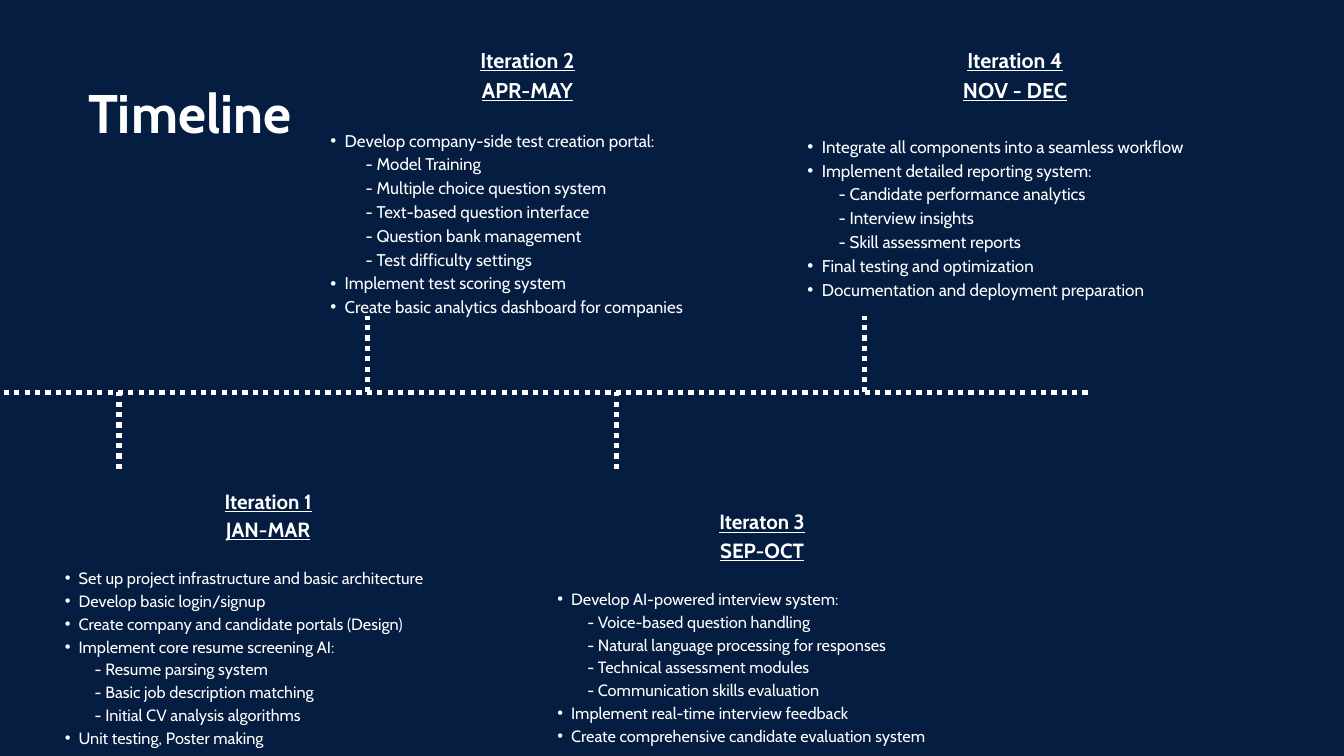
from lxml import etree
from pptx import Presentation
from pptx.dml.color import RGBColor
from pptx.enum.dml import MSO_LINE
from pptx.enum.shapes import MSO_CONNECTOR
from pptx.enum.text import MSO_AUTO_SIZE, PP_ALIGN
from pptx.oxml.ns import qn
from pptx.util import Inches, Pt

STRAIGHT = MSO_CONNECTOR.STRAIGHT
DOTTED = MSO_LINE.ROUND_DOT
GROW = MSO_AUTO_SIZE.SHAPE_TO_FIT_TEXT
CENTER, JUSTIFY = PP_ALIGN.CENTER, PP_ALIGN.JUSTIFY

COLORS = {"background": "051D40", "foreground": "FFFFFF"}
FONT = "Cabin"

AXIS_Y = 5.84
BRANCH_X, BRANCH_STEP, BRANCH_LENGTH = 1.77, 3.7, 1.14

BELOW = {"head": 22, "head_line": 30.8, "body": 17.5, "line": 24.5, "indent": 0.41}
ABOVE = {"head": 22.9, "head_line": 32.1, "body": 18.2, "line": 25.5, "indent": 0.43}

ITERATIONS = [
    {"box": (0.76, 7.21, 6.46, 3.84), "style": BELOW, "gap": 24.5, "sub": 0.65,
     "heading": ("Iteration 1", "JAN-MAR"),
     "items": ("Set up project infrastructure and basic architecture",
               "Develop basic login/signup",
               "Create company and candidate portals (Design)",
               "Implement core resume screening AI:",
               "- Resume parsing system",
               "- Basic job description matching",
               "- Initial CV analysis algorithms",
               "Unit testing, Poster making")},
    {"box": (4.7, 0.64, 6.3, 4.03), "style": ABOVE, "gap": 25.5, "sub": 0.74,
     "heading": ("Iteration 2", "APR-MAY"),
     "items": ("Develop company-side test creation portal:",
               "- Model Training",
               "- Multiple choice question system",
               "- Text-based question interface",
               "- Question bank management",
               "- Test difficulty settings",
               "Implement test scoring system",
               "Create basic analytics dashboard for companies")},
    {"box": (8.09, 7.52, 6.5, 3.53), "style": BELOW, "gap": 24.5, "sub": 0.65,
     "heading": ("Iteraton 3", "SEP-OCT"),
     "items": ("Develop AI-powered interview system:",
               "- Voice-based question handling",
               "- Natural language processing for responses",
               "- Technical assessment modules",
               "- Communication skills evaluation",
               "Implement real-time interview feedback",
               "Create comprehensive candidate evaluation system")},
    {"box": (11.8, 0.64, 6.61, 3.78), "style": ABOVE, "gap": 32.1, "sub": 0.68,
     "heading": ("Iteration 4", "NOV - DEC"),
     "items": ("Integrate all components into a seamless workflow",
               "Implement detailed reporting system:",
               "- Candidate performance analytics",
               "- Interview insights",
               "- Skill assessment reports",
               "Final testing and optimization",
               "Documentation and deployment preparation")},
]


def rgb(name):
    return RGBColor.from_string(COLORS[name])


def add_dotted_line(s, x1, y1, x2, y2):
    line = s.shapes.add_connector(STRAIGHT, Inches(x1), Inches(y1), Inches(x2), Inches(y2))
    line.line.color.rgb = rgb("foreground")
    line.line.width = Pt(5.56)
    line.line.dash_style = DOTTED
    etree.SubElement(line._element.spPr, qn("a:effectLst"))


def add_text_box(s, box):
    tf = s.shapes.add_textbox(*map(Inches, box)).text_frame
    tf.margin_left = tf.margin_top = tf.margin_right = tf.margin_bottom = 0
    tf.word_wrap = True
    tf.auto_size = GROW
    return tf


def format_paragraph(p, text, size, line, align, bold=False, underline=False):
    p.text = text
    p.alignment = align
    p.line_spacing = Pt(line)
    font = p.runs[0].font
    font.name, font.size = FONT, Pt(size)
    font.bold, font.underline = bold, underline
    font.color.rgb = rgb("foreground")


def set_indent(p, left, bullet):
    pPr = p._p.get_or_add_pPr()
    pPr.set("marL", str(Inches(left)))
    pPr.set("indent", str(-Inches(left / 2) if bullet else 0))
    if bullet:
        p.level = 1
        etree.SubElement(pPr, qn("a:buFont"), typeface="Arial")
        etree.SubElement(pPr, qn("a:buChar"), char="•")
    else:
        etree.SubElement(pPr, qn("a:buNone"))


def add_iteration(s, iteration):
    style = iteration["style"]
    tf = add_text_box(s, iteration["box"])
    for i, text in enumerate(iteration["heading"]):
        p = tf.add_paragraph() if i else tf.paragraphs[0]
        format_paragraph(p, text, style["head"], style["head_line"], CENTER, True, True)
    for i, text in enumerate(iteration["items"]):
        p = tf.add_paragraph()
        format_paragraph(p, text, style["body"], style["line"], JUSTIFY)
        if i == 0:
            p.space_before = Pt(iteration["gap"])
        bullet = not text.startswith("- ")
        set_indent(p, style["indent"] if bullet else iteration["sub"], bullet)


def main():
    prs = Presentation()
    prs.slide_width, prs.slide_height = Inches(20), Inches(11.25)
    s = prs.slides.add_slide(prs.slide_layouts[6])
    s.background.fill.solid()
    s.background.fill.fore_color.rgb = rgb("background")

    title = add_text_box(s, (1.12, 1.01, 3.41, 1.08))
    format_paragraph(title.paragraphs[0], "Timeline", 58.2, 81.5, CENTER, True)

    add_dotted_line(s, -0.56, AXIS_Y, 16.25, AXIS_Y)
    for i, iteration in enumerate(ITERATIONS):
        x = BRANCH_X + i * BRANCH_STEP
        bottom = AXIS_Y if iteration["style"] is ABOVE else AXIS_Y + BRANCH_LENGTH
        add_dotted_line(s, x, bottom, x, bottom - BRANCH_LENGTH)
        add_iteration(s, iteration)

    prs.save("out.pptx")


if __name__ == "__main__":
    main()
